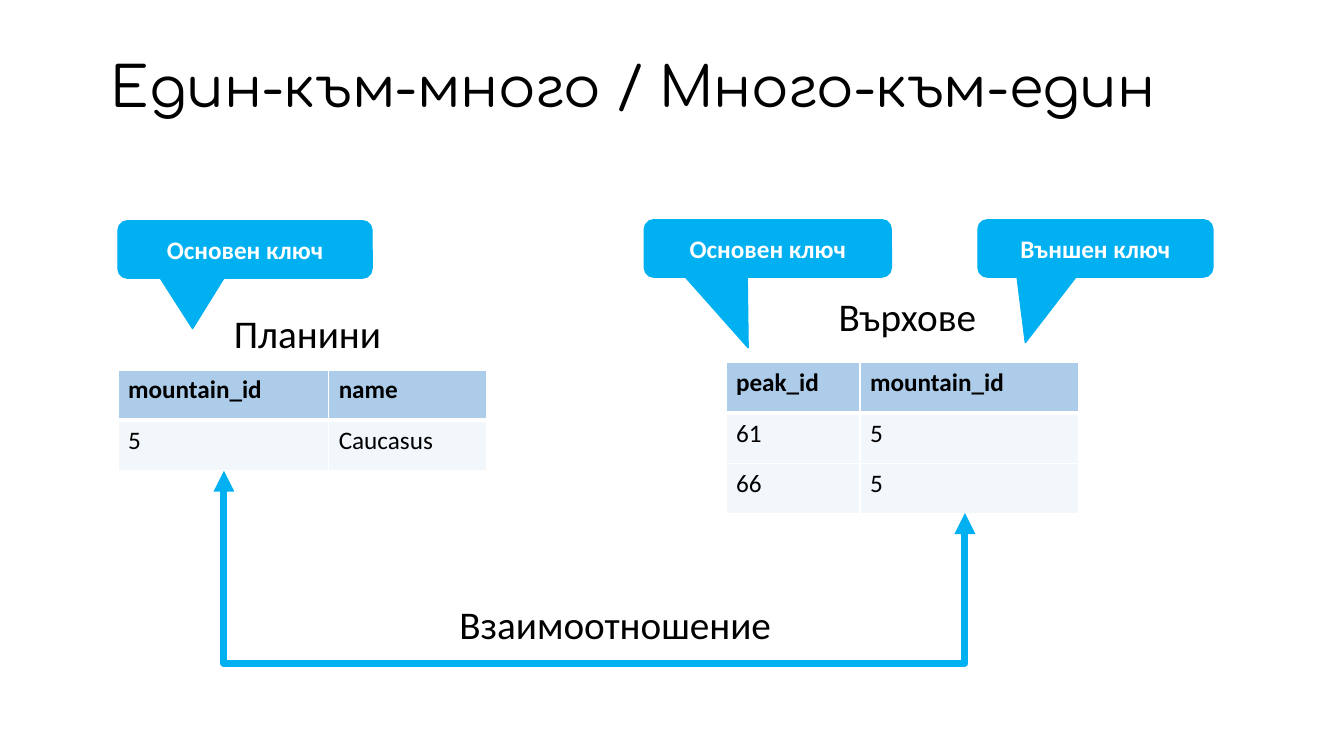
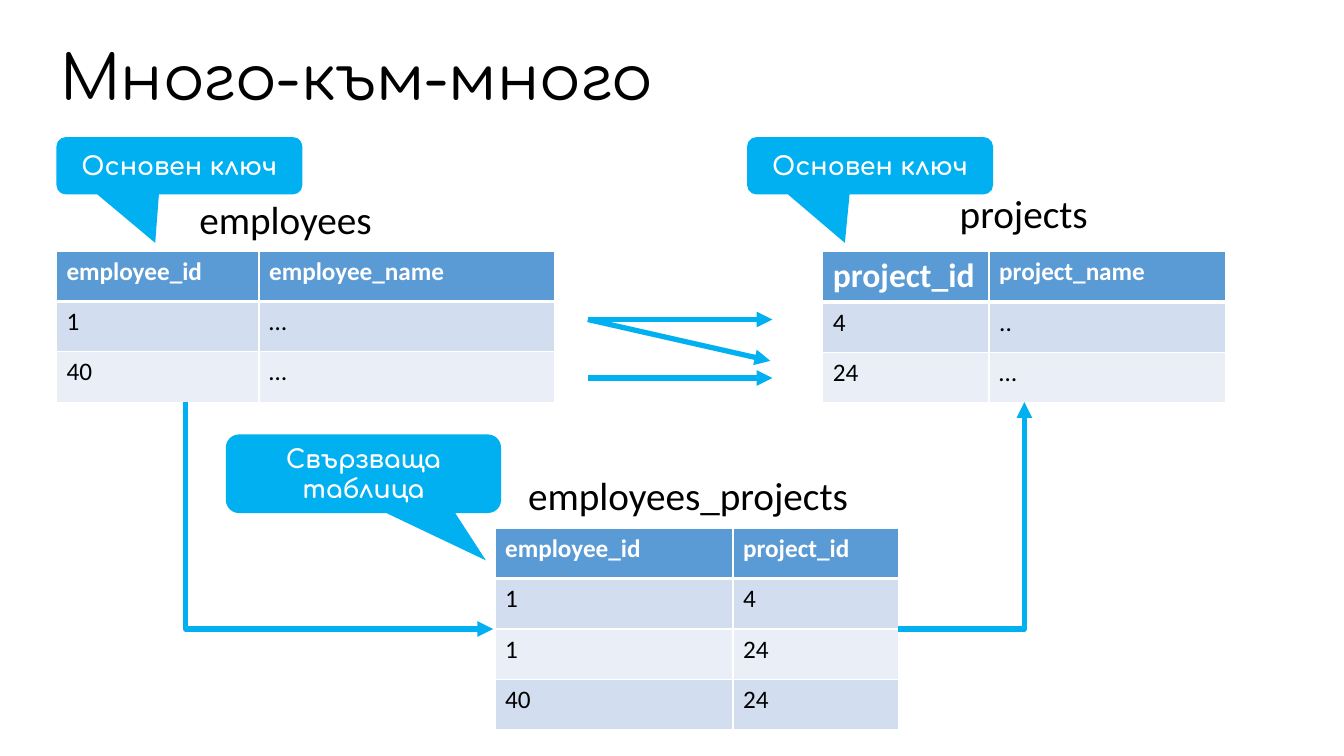
from lxml import etree
from pptx import Presentation
from pptx.dml.color import RGBColor
from pptx.enum.shapes import MSO_CONNECTOR, MSO_SHAPE
from pptx.enum.text import MSO_ANCHOR, MSO_AUTO_SIZE, PP_ALIGN
from pptx.oxml.ns import qn
from pptx.util import Emu, Pt

CALLOUT = MSO_SHAPE.ROUNDED_RECTANGULAR_CALLOUT
STRAIGHT, ELBOW = MSO_CONNECTOR.STRAIGHT, MSO_CONNECTOR.ELBOW
LEFT, CENTER = PP_ALIGN.LEFT, PP_ALIGN.CENTER
TOP, MIDDLE = MSO_ANCHOR.TOP, MSO_ANCHOR.MIDDLE

PX = 9144  # EMU; 100 px to the inch
SLIDE_W, SLIDE_H = 1333, 750
ROW_H, LABEL_H = 50, 57
BODY_FONT, TITLE_FONT = "Calibri", "Comfortaa"
BLACK, WHITE, CYAN, BLUE = "000000", "FFFFFF", "00B0F0", "5B9BD5"

# Table looks: header and body fills as (colour, opacity %), header text colour
PALE = {"header": (BLUE, 50), "body": [("BDD7EE", 20)], "header_text": BLACK}
BANDED = {"header": (BLUE, 100), "body": [("D2DEEF", 100), ("EAEFF7", 100)],
          "header_text": WHITE}

# tables: left, top, column widths, rows
# labels: text, left, top, width, format
# callouts: text, box, tip of the pointer
# elbows: start, end, format
SLIDES = [
    {
        "title": ("Един-към-много / Много-към-един", (100, 28, 1156, 121), 39.6),
        "look": PALE,
        "tables": [
            (117, 367, (209, 157), [("mountain_id", "name"), ("5", "Caucasus")]),
            (720, 360, (133, 217),
             [("peak_id", "mountain_id"), ("61", "5"), ("66", "5")]),
        ],
        "labels": [
            ("Планини", 222, 302, 168, {}),
            ("Върхове", 822, 285, 158, {}),
            ("Взаимоотношение", 389, 591, 442, {"align": CENTER, "wrap": True}),
        ],
        "callout_format": {"font": BODY_FONT, "outline": 1},
        "callouts": [
            ("Основен ключ", (117, 219, 252, 57), (191, 326)),
            ("Основен ключ", (639, 218, 245, 57), (742, 345)),
            ("Външен ключ", (970, 218, 233, 57), (1017, 340)),
        ],
        "arrows": [],
        "elbows": [((222, 467), (957, 509),
                    {"turn_y": 658, "weight": 5, "both_ends": True})],
    },
    {
        "title": ("Много-към-много", (50, 22, 1150, 115), 44),
        "look": BANDED,
        "tables": [
            (56, 249, (201, 293),
             [("employee_id", "employee_name"), ("1", "…"), ("40", "…")]),
            (816, 249, (165, 235),
             [("project_id", "project_name"), ("4", ".."), ("24", "…")]),
            (491, 524, (236, 164),
             [("employee_id", "project_id"), ("1", "4"), ("1", "24"),
              ("40", "24")]),
        ],
        "large_header": (1, 0),  # table, column
        "labels": [
            ("employees", 188, 189, 193, {}),
            ("projects", 942, 183, 149, {}),
            ("employees_projects", 514, 463, 341, {}),
        ],
        "callout_format": {"font": TITLE_FONT},
        "callouts": [
            ("Основен ключ", (56, 136, 244, 57), (154, 241)),
            ("Основен ключ", (741, 136, 244, 57), (838, 241)),
            ("Свързваща таблица", (224, 431, 273, 78), (482, 556)),
        ],
        "arrows": [((583, 317), (766, 317)), ((583, 375), (766, 375)),
                   ((583, 317), (764, 358))],
        "elbows": [((184, 399), (489, 624), {}),
                   ((891, 624), (1016, 399), {})],
    },
]


def px(*values):
    return [Emu(round(v * PX)) for v in values]


def rgb(value):
    return RGBColor.from_string(value)


def write(tf, text, size=18, font=BODY_FONT, color=BLACK, bold=False,
          align=LEFT, anchor=TOP, spacing=None):
    tf.vertical_anchor = anchor
    p = tf.paragraphs[0]
    p.alignment = align
    if spacing:
        p.line_spacing = spacing
    r = p.add_run()
    r.text = text
    r.font.size, r.font.name, r.font.bold = Pt(size), font, bold
    r.font.color.rgb = rgb(color)


def add_title(s, text, box, size):
    title = s.shapes.title
    title.left, title.top, title.width, title.height = px(*box)
    tf = title.text_frame
    tf.word_wrap, tf.auto_size = True, MSO_AUTO_SIZE.NONE
    write(tf, text, size=size, font=TITLE_FONT, anchor=MIDDLE, spacing=0.9)


def add_label(s, text, left, top, width, wrap=False, **fmt):
    tf = s.shapes.add_textbox(*px(left, top, width, LABEL_H)).text_frame
    tf.word_wrap, tf.auto_size = wrap, MSO_AUTO_SIZE.SHAPE_TO_FIT_TEXT
    write(tf, text, size=28, **fmt)


def add_callout(s, text, box, tip, font, outline=0):
    left, top, width, height = box
    sp = s.shapes.add_shape(CALLOUT, *px(*box))
    sp.shadow.inherit = False
    sp.adjustments[0] = (tip[0] - left) / width - 0.5
    sp.adjustments[1] = (tip[1] - top) / height - 0.5
    sp.fill.solid()
    sp.fill.fore_color.rgb = rgb(CYAN)
    if outline:
        sp.line.color.rgb = rgb(CYAN)
        sp.line.width = Pt(outline)
    else:
        sp.line.fill.background()
    sp.text_frame.word_wrap = True
    write(sp.text_frame, text, font=font, color=WHITE, bold=True,
          align=CENTER, anchor=MIDDLE)


def format_cell(cell, fill, top, bottom):
    """Give a cell white borders (top and bottom in points) and its fill."""
    tc_pr = cell._tc.get_or_add_tcPr()
    for side, weight in (("L", 1), ("R", 1), ("T", top), ("B", bottom)):
        ln = etree.SubElement(tc_pr, qn("a:ln" + side), w=str(Pt(weight)))
        solid = etree.SubElement(ln, qn("a:solidFill"))
        etree.SubElement(solid, qn("a:srgbClr"), val=WHITE)
    color, opacity = fill
    cell.fill.solid()
    cell.fill.fore_color.rgb = rgb(color)
    if opacity < 100:
        clr = tc_pr.find(qn("a:solidFill")).find(qn("a:srgbClr"))
        etree.SubElement(clr, qn("a:alpha"), val=str(opacity * 1000))


def add_data_table(s, left, top, widths, rows, look, large_column=None):
    box = px(left, top, sum(widths), ROW_H * len(rows))
    table = s.shapes.add_table(len(rows), len(widths), *box).table
    for column, width in zip(table.columns, px(*widths)):
        column.width = width
    for i, row in enumerate(rows):
        header = i == 0
        fill = look["header"] if header else look["body"][(i - 1) % len(look["body"])]
        for j, text in enumerate(row):
            cell = table.cell(i, j)
            format_cell(cell, fill, top=3 if i == 1 else 1, bottom=3 if header else 1)
            write(cell.text_frame, text, bold=header,
                  size=24 if header and j == large_column else 18,
                  color=look["header_text"] if header else BLACK)


def add_arrow(s, start, end, kind=STRAIGHT, weight=3.75, both_ends=False):
    cn = s.shapes.add_connector(kind, *px(*start, *end))
    cn.line.color.rgb = rgb(CYAN)
    cn.line.width = Pt(weight)
    sp_pr = cn._element.spPr
    ln = sp_pr.find(qn("a:ln"))
    for tag in ("a:headEnd", "a:tailEnd") if both_ends else ("a:tailEnd",):
        etree.SubElement(ln, qn(tag), type="triangle")
    etree.SubElement(sp_pr, qn("a:effectLst"))
    return cn


def add_elbow(s, start, end, turn_y=None, **fmt):
    """Going down leaves vertically (a turned frame); going up leaves sideways."""
    (x1, y1), (x2, y2) = start, end
    down = y2 > y1
    if down:
        cx, cy = (x1 + x2) / 2, (y1 + y2) / 2
        half_w, half_h = (y2 - y1) / 2, (x2 - x1) / 2
        start, end = (cx + half_w, cy - half_h), (cx - half_w, cy + half_h)
    cn = add_arrow(s, start, end, kind=ELBOW, **fmt)
    sp_pr = cn._element.spPr
    if down:
        sp_pr.find(qn("a:xfrm")).set("rot", str(270 * 60000))
    geom = sp_pr.find(qn("a:prstGeom"))
    if turn_y is None:
        geom.set("prst", "bentConnector2")
    else:
        guides = geom.find(qn("a:avLst"))
        if guides is None:
            guides = etree.SubElement(geom, qn("a:avLst"))
        ratio = round((turn_y - y1) / (y2 - y1) * 100000)
        etree.SubElement(guides, qn("a:gd"), name="adj1", fmla=f"val {ratio}")


def build_slide(prs, content):
    s = prs.slides.add_slide(prs.slide_layouts[5])
    add_title(s, *content["title"])
    large_table, large_column = content.get("large_header", (None, None))
    for i, table in enumerate(content["tables"]):
        add_data_table(s, *table, content["look"],
                       large_column if i == large_table else None)
    for start, end in content["arrows"]:
        add_arrow(s, start, end)
    for start, end, fmt in content["elbows"]:
        add_elbow(s, start, end, **fmt)
    for *label, fmt in content["labels"]:
        add_label(s, *label, **fmt)
    for callout in content["callouts"]:
        add_callout(s, *callout, **content["callout_format"])


def main():
    prs = Presentation()
    prs.slide_width, prs.slide_height = px(SLIDE_W, SLIDE_H)
    for content in SLIDES:
        build_slide(prs, content)
    prs.save("out.pptx")


if __name__ == "__main__":
    main()
